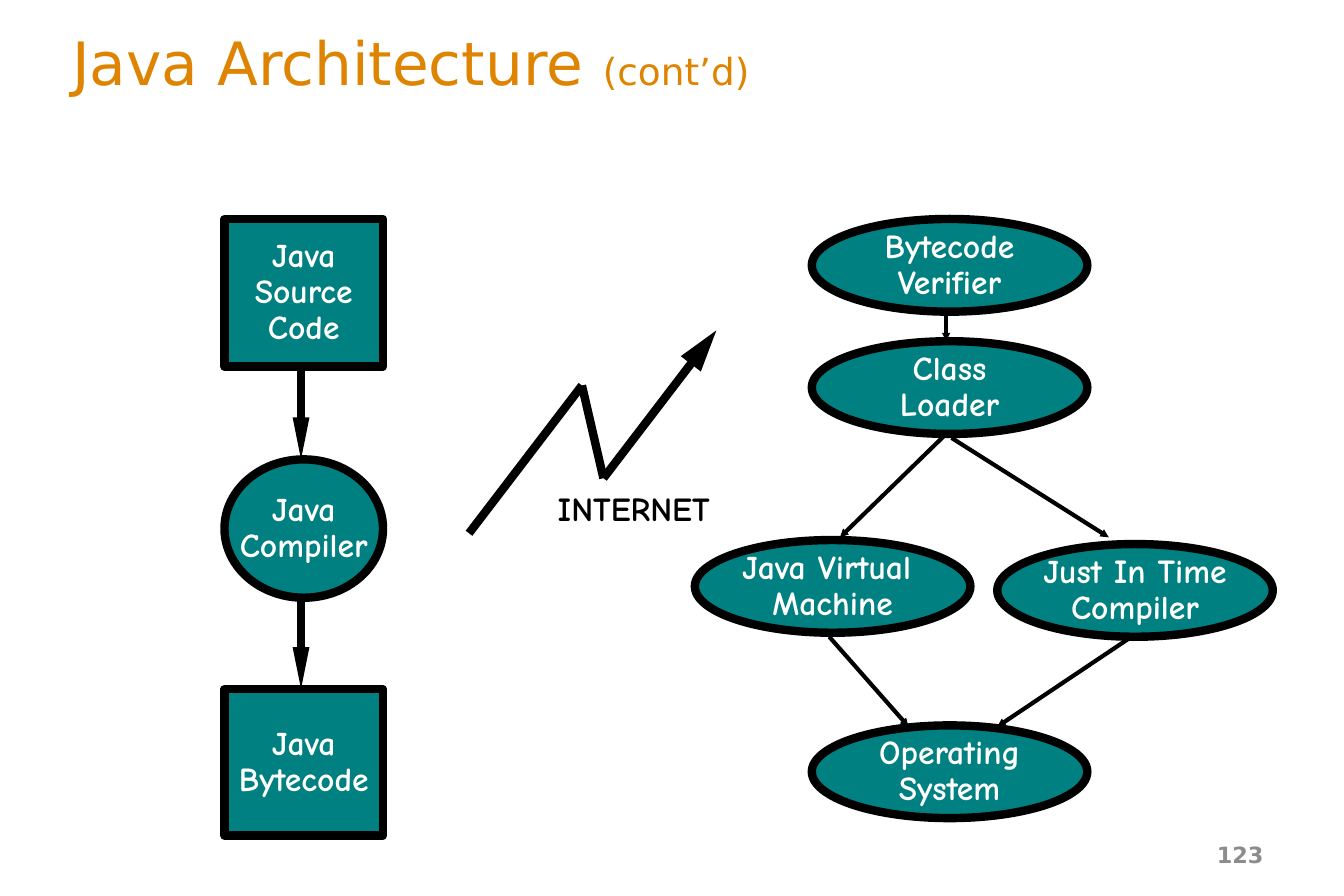
from pptx import Presentation
from pptx import util as u
from pptx.dml.color import RGBColor
from pptx.enum import shapes, text
from pptx.oxml.ns import qn
from lxml import etree

BODY, HEADING = "Comic Neue", "DejaVu Sans"
BLACK, WHITE, TEAL = "000000", "FFFFFF", "008080"
ORANGE, GRAY = "DE8400", "8C8C8C"
THICK, THIN = 4.5, 2.25
OVAL_SIZE = (2.05, 0.69)

TITLE = [("Java Architecture ", 32), ("(cont’d)", 20)]
COMPILE_STEPS = [
    ("RECTANGLE", 1.63, 1.1, "Java\nSource\nCode"),
    ("OVAL", 3.42, 1.03, "Java\nCompiler"),
    ("RECTANGLE", 5.13, 1.09, "Java\nBytecode"),
]
RUNTIME_STEPS = [
    (6.04, 1.63, "Bytecode\nVerifier"),
    (6.04, 2.54, "Class\nLoader"),
    (5.17, 4.02, "Java Virtual \nMachine"),
    (7.42, 4.05, "Just In Time\nCompiler"),
    (6.04, 5.4, "Operating\nSystem"),
]
RUNTIME_ARROWS = [
    ((7.04, 2.32), (7.04, 2.54)),
    ((7.04, 3.23), (6.25, 4)),
    ((7.08, 3.26), (8.25, 4)),
    ((6.17, 4.74), (6.76, 5.41)),
    ((8.42, 4.74), (7.42, 5.41)),
]
BOLT = [(3.49, 3.97), (4.33, 2.87), (4.49, 3.56), (5.33, 2.46)]


def color(value):
    return RGBColor.from_string(value)


def style(font, name, size, value, bold=False):
    font.name, font.size, font.bold = name, u.Pt(size), bold
    font.color.rgb = color(value)


def write(shape, words, value):
    frame = shape.text_frame
    frame.text = words
    frame.word_wrap = False
    frame.vertical_anchor = text.MSO_ANCHOR.MIDDLE
    for para in frame.paragraphs:
        para.alignment = text.PP_ALIGN.CENTER
        para.line_spacing = 0.9
        for span in para.runs:
            style(span.font, BODY, 18, value, True)


def add_step(page, kind, place, words):
    shape = page.shapes.add_shape(
        getattr(shapes.MSO_SHAPE, kind), *map(u.Inches, place))
    shape.shadow.inherit = False
    shape.fill.solid()
    shape.fill.fore_color.rgb = color(TEAL)
    shape.line.color.rgb = color(BLACK)
    shape.line.width = u.Pt(THICK)
    write(shape, words, WHITE)


def add_line(page, start, end, width, head=None):
    line = page.shapes.add_connector(
        shapes.MSO_CONNECTOR.STRAIGHT, *map(u.Inches, (*start, *end)))
    line.line.color.rgb = color(BLACK)
    line.line.width = u.Pt(width)
    if head:
        etree.SubElement(line.line._get_or_add_ln(), qn("a:tailEnd"),
                         type="triangle", w=head[0], len=head[1])
    etree.SubElement(line._element.spPr, qn("a:effectLst"))


def add_box(page, *place):
    box = page.shapes.add_textbox(*map(u.Inches, place))
    box.text_frame.word_wrap = True
    box.text_frame.vertical_anchor = text.MSO_ANCHOR.MIDDLE
    return box


def main():
    deck = Presentation()
    deck.slide_width, deck.slide_height = u.Inches(10), u.Inches(6.67)
    page = deck.slides.add_slide(deck.slide_layouts[6])

    title = add_box(page, 0.44, 0.24, 9, 0.44).text_frame.paragraphs[0]
    for words, size in TITLE:
        span = title.add_run()
        span.text = words
        style(span.font, HEADING, size, ORANGE)

    for upper, lower in zip(COMPILE_STEPS, COMPILE_STEPS[1:]):
        add_line(page, (2.24, upper[1] + upper[2]), (2.24, lower[1]),
                 THICK, ("sm", "lg"))
    for start, end in RUNTIME_ARROWS:
        add_line(page, start, end, THIN, ("sm", "sm"))
    for start, end in zip(BOLT, BOLT[1:]):
        add_line(page, start, end, THICK,
                 ("med", "lg") if end == BOLT[-1] else None)

    for kind, top, height, words in COMPILE_STEPS:
        add_step(page, kind, (1.67, top, 1.18, height), words)
    for left, top, words in RUNTIME_STEPS:
        add_step(page, "OVAL", (left, top, *OVAL_SIZE), words)

    write(add_box(page, 3.92, 3.61, 1.59, 0.38), "INTERNET", BLACK)

    number = add_box(page, 7.17, 6.18, 2.33, 0.36).text_frame.paragraphs[0]
    number.text = "123"
    number.alignment = text.PP_ALIGN.RIGHT
    style(number.runs[0].font, HEADING, 12, GRAY, True)

    deck.save("out.pptx")


if __name__ == "__main__":
    main()
